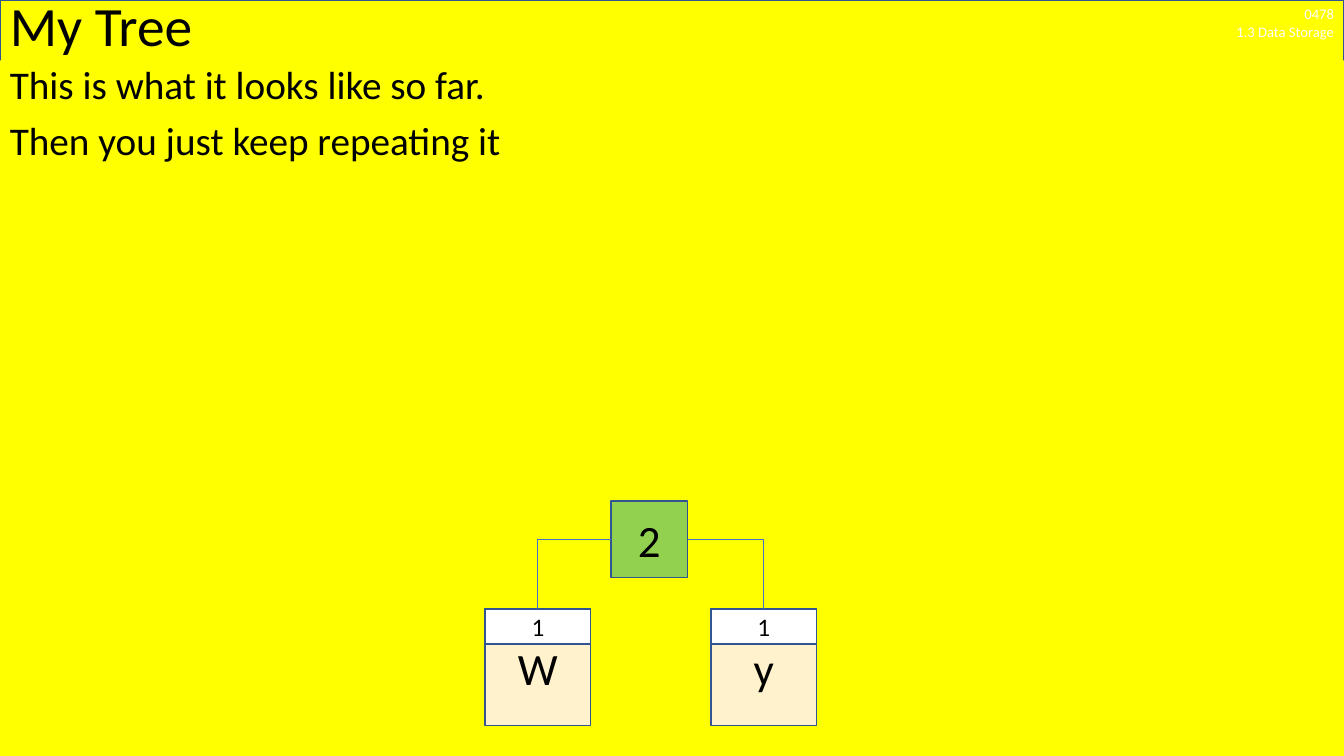
from lxml import etree
from pptx import Presentation
from pptx.dml.color import RGBColor
from pptx.enum.shapes import MSO_CONNECTOR, MSO_SHAPE
from pptx.enum.text import MSO_ANCHOR, PP_ALIGN
from pptx.oxml.ns import qn
from pptx.util import Inches, Pt

SLIDE_WIDTH, SLIDE_HEIGHT = 13.33, 7.5
YELLOW, WHITE, BLACK = "FFFF00", "FFFFFF", "000000"
CREAM, GREEN, OUTLINE, BRANCH = "FFF2CC", "92D050", "325491", "4472C4"
LEFT_SIDE, RIGHT_SIDE, TOP_SIDE = 1, 3, 0


def color(hex_string):
    return RGBColor.from_string(hex_string)


def write(shape, lines, size, text_color=BLACK, anchor=MSO_ANCHOR.TOP, **formats):
    """Fill the shape with one paragraph per line; formats apply to every paragraph."""
    frame = shape.text_frame
    frame.word_wrap = True
    frame.vertical_anchor = anchor
    for index, line in enumerate(lines):
        paragraph = frame.paragraphs[0] if index == 0 else frame.add_paragraph()
        for name, value in formats.items():
            if index > 0 or name != "space_before":
                setattr(paragraph, name, value)
        run = paragraph.add_run()
        run.text = line
        for name, value in {"name": "Calibri", "size": Pt(size)}.items():
            setattr(run.font, name, value)
        run.font.color.rgb = color(text_color)


def add_box(slide, box, fill, outline=OUTLINE):
    shape = slide.shapes.add_shape(MSO_SHAPE.RECTANGLE, *map(Inches, box))
    shape.shadow.inherit = False
    shape.fill.solid()
    shape.fill.fore_color.rgb = color(fill)
    if outline:
        shape.line.color.rgb = color(outline)
        shape.line.width = Pt(1)
    else:
        shape.line.fill.background()
    return shape


def add_node(slide, box, fill, label, size):
    node = add_box(slide, box, fill)
    write(node, [label], size, anchor=MSO_ANCHOR.MIDDLE, alignment=PP_ALIGN.CENTER)
    return node


def add_header(slide, box):
    left, top, width, height = box
    course_width = 2.1
    course = slide.shapes.add_textbox(
        *map(Inches, (left + width - course_width, top, course_width, 0.45)))
    write(course, ["0478", "1.3 Data Storage"], 10.5, WHITE, alignment=PP_ALIGN.RIGHT)
    title = slide.shapes.add_textbox(*map(Inches, box))
    write(title, ["My Tree"], 39.6, anchor=MSO_ANCHOR.MIDDLE, line_spacing=0.9)


def add_body(slide, box):
    body = add_box(slide, box, YELLOW, outline=None)
    write(body, ["This is what it looks like so far.", "Then you just keep repeating it"], 28,
          alignment=PP_ALIGN.LEFT, line_spacing=0.9, space_before=Pt(10))


def add_leaf(slide, box, letter, count):
    """Draw a letter with its count above it and return the count box."""
    left, top, width, _ = box
    add_node(slide, box, CREAM, letter, 32)
    return add_node(slide, (left, top, width, 0.35), WHITE, count, 18)


def add_branch(slide, parent, side, leaf):
    """Join a side of the parent to the top of the leaf with a single bend."""
    branch = slide.shapes.add_connector(MSO_CONNECTOR.ELBOW, 0, 0, 0, 0)
    branch.begin_connect(parent, side)
    branch.end_connect(leaf, TOP_SIDE)
    branch.line.color.rgb = color(BRANCH)
    branch.line.width = Pt(0.5)
    properties = branch._element.spPr
    properties.find(qn("a:prstGeom")).set("prst", "bentConnector2")
    etree.SubElement(properties, qn("a:effectLst"))


def add_tree(slide, box):
    left, top, width, height = box
    leaf_width, leaf_height = 1.05, 1.16
    leaf_top = top + height - leaf_height
    first_leaf = add_leaf(slide, (left, leaf_top, leaf_width, leaf_height), "W", "1")
    second_leaf = add_leaf(
        slide, (left + width - leaf_width, leaf_top, leaf_width, leaf_height), "y", "1")
    root = add_node(slide, (left + 1.25, top, 0.76, 0.76), GREEN, "2", 32)
    add_branch(slide, root, LEFT_SIDE, first_leaf)
    add_branch(slide, root, RIGHT_SIDE, second_leaf)


def main():
    presentation = Presentation()
    presentation.slide_width = Inches(SLIDE_WIDTH)
    presentation.slide_height = Inches(SLIDE_HEIGHT)
    slide = presentation.slides.add_slide(presentation.slide_layouts[6])
    add_box(slide, (0, 0, SLIDE_WIDTH, SLIDE_HEIGHT), YELLOW)
    add_header(slide, (0, 0, SLIDE_WIDTH, 0.57))
    add_body(slide, (0, 0.6, SLIDE_WIDTH, 6.9))
    add_tree(slide, (4.81, 4.97, 3.29, 2.23))
    presentation.save("out.pptx")


if __name__ == "__main__":
    main()
